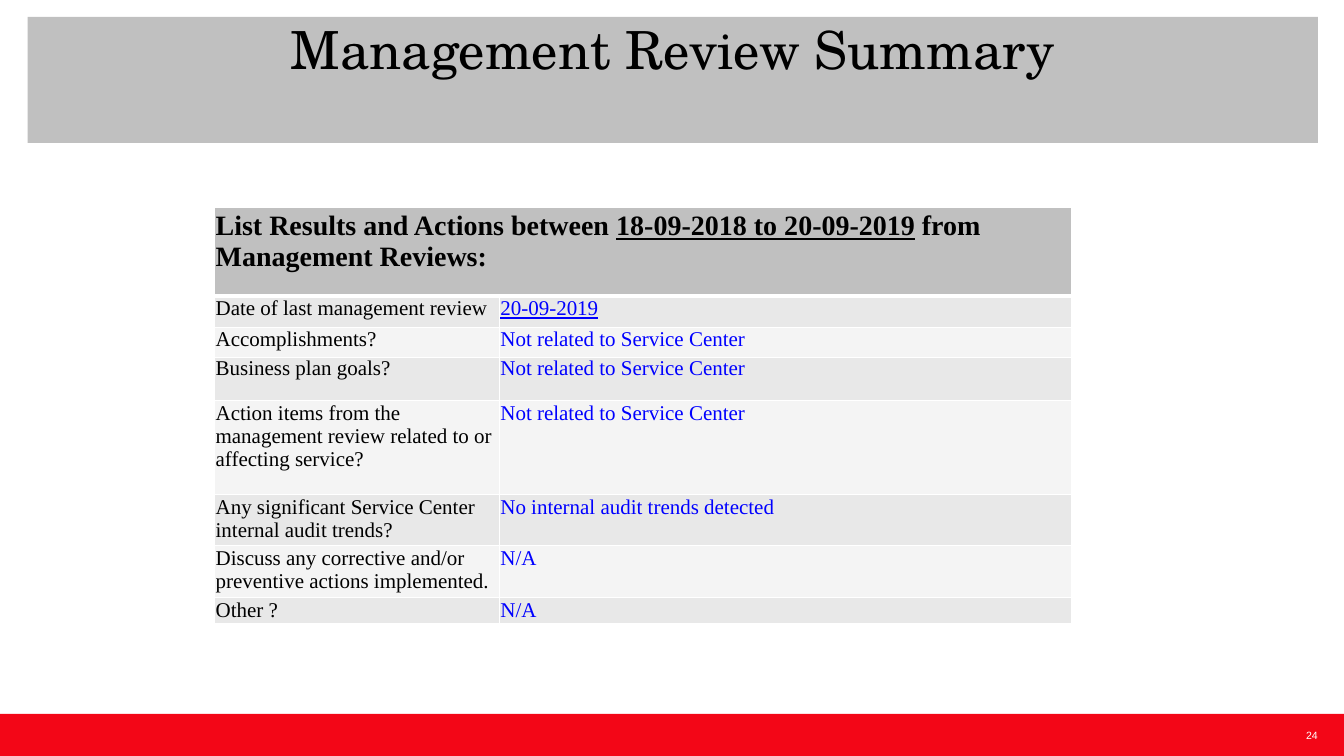
from lxml import etree
from pptx import Presentation
from pptx.dml.color import RGBColor
from pptx.enum import shapes, text
from pptx.oxml import ns
from pptx.util import Cm, Pt

THEME = {
    "black": "000000", "white": "FFFFFF", "red": "F30617", "gray": "C0C0C0",
    "answer": "0000FF", "bands": ("E8E8E8", "F4F4F4"),
    "title_font": "TeX Gyre Schola", "table_font": "Times New Roman", "number_font": "Arial",
    "title_size": 45, "heading_size": 24, "body_size": 18, "number_size": 9,
}


def style_runs(paragraph, font, size, color, bold=False):
    for run in paragraph.runs:
        run.font.name = font
        run.font.size = Pt(size)
        run.font.bold = bold
        run.font.color.rgb = RGBColor.from_string(color)


def format_cell(cell, fill, top=1, bottom=1):
    properties = cell._tc.get_or_add_tcPr()
    for side, width in (("L", 1), ("R", 1), ("T", top), ("B", bottom)):
        line = etree.SubElement(properties, ns.qn(f"a:ln{side}"), w=str(Pt(width)))
        solid = etree.SubElement(line, ns.qn("a:solidFill"))
        etree.SubElement(solid, ns.qn("a:srgbClr"), val=THEME["white"])
    cell.fill.solid()
    cell.fill.fore_color.rgb = RGBColor.from_string(fill)
    cell.margin_left = cell.margin_right = cell.margin_top = Cm(0.03)
    cell.margin_bottom = 0


presentation = Presentation()
presentation.slide_width = Cm(40.64)
presentation.slide_height = Cm(22.86)
slide = presentation.slides.add_slide(presentation.slide_layouts[6])

bars = []
for left, top, width, height, color in (
    (0, 21.59, 40.64, 1.27, THEME["red"]),
    (0.84, 0.51, 39.01, 3.81, THEME["gray"]),
):
    bar = slide.shapes.add_shape(
        shapes.MSO_SHAPE.RECTANGLE, Cm(left), Cm(top), Cm(width), Cm(height))
    bar.shadow.inherit = False
    bar.fill.solid()
    bar.fill.fore_color.rgb = RGBColor.from_string(color)
    bar.line.fill.background()
    bars.append(bar)

title = bars[1].text_frame
number = slide.shapes.add_textbox(Cm(38.74), Cm(21.59), Cm(1.11), Cm(1.27)).text_frame
for frame, words, anchor, alignment, font, size, color in (
    (title, "Management Review Summary", text.MSO_ANCHOR.TOP, text.PP_ALIGN.CENTER,
     THEME["title_font"], THEME["title_size"], THEME["black"]),
    (number, "24", text.MSO_ANCHOR.MIDDLE, text.PP_ALIGN.RIGHT,
     THEME["number_font"], THEME["number_size"], THEME["white"]),
):
    frame.margin_left = frame.margin_right = frame.margin_top = frame.margin_bottom = 0
    frame.word_wrap = frame is title
    frame.vertical_anchor = anchor
    frame.text = words
    frame.paragraphs[0].alignment = alignment
    style_runs(frame.paragraphs[0], font, size, color)

unrelated = "Not related to Service Center"
reviews = (
    ("Date of last management review", "20-09-2019", 0.94),
    ("Accomplishments?", unrelated, 0.92),
    ("Business plan goals?", unrelated, 1.3),
    ("Action items from the management review related to or affecting service?", unrelated, 2.84),
    ("Any significant Service Center internal audit trends?",
     "No internal audit trends detected", 1.43),
    ("Discuss any corrective and/or preventive actions implemented.", "N/A", 1.43),
    ("Other ?", "N/A", 0.73),
)
heights = [2.67] + [height for question, answer, height in reviews]
table = slide.shapes.add_table(
    len(heights), 2, Cm(6.49), Cm(6.28), Cm(25.9), Cm(sum(heights))).table
table.first_row = False
table.horz_banding = False
for column, width in zip(table.columns, (8.61, 17.29)):
    column.width = Cm(width)
for row, height in zip(table.rows, heights):
    row.height = Cm(height)

heading = table.cell(0, 0)
heading.merge(table.cell(0, 1))
for cell in table.rows[0].cells:
    format_cell(cell, THEME["gray"], bottom=3)
heading.margin_top = Cm(0.1)
paragraph = heading.text_frame.paragraphs[0]
for words, underline in (
    ("List Results and Actions between ", False),
    ("18-09-2018 to 20-09-2019", True),
    (" from Management Reviews:", False),
):
    run = paragraph.add_run()
    run.text = words
    run.font.underline = underline
style_runs(paragraph, THEME["table_font"], THEME["heading_size"], THEME["black"], bold=True)

for index, (question, answer, height) in enumerate(reviews):
    for column, (words, color) in enumerate(
            ((question, THEME["black"]), (answer, THEME["answer"]))):
        cell = table.cell(index + 1, column)
        format_cell(cell, THEME["bands"][index % 2], top=3 if index == 0 else 1)
        cell.text_frame.text = words
        paragraph = cell.text_frame.paragraphs[0]
        style_runs(paragraph, THEME["table_font"], THEME["body_size"], color)
        if question == "Business plan goals?":
            paragraph.line_spacing = 0.9
        if answer == "20-09-2019":
            paragraph.runs[0].font.underline = column == 1

presentation.save("out.pptx")
